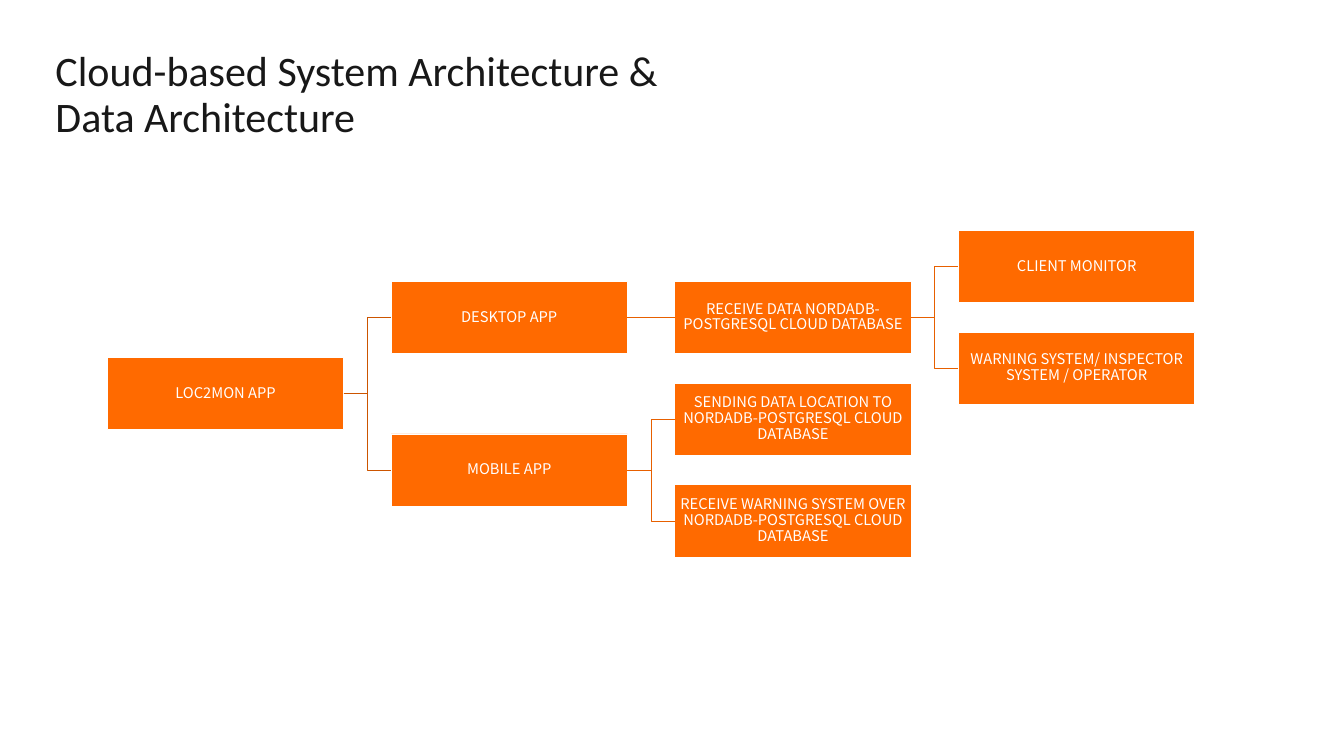
from lxml.etree import SubElement
from pptx import Presentation
from pptx.dml.color import RGBColor
from pptx.enum.shapes import MSO_CONNECTOR, MSO_SHAPE
from pptx.enum.text import MSO_ANCHOR, MSO_AUTO_SIZE, PP_ALIGN
from pptx.oxml.ns import qn
from pptx.util import Inches, Pt

TITLE = ["Cloud-based System Architecture &", "Data Architecture"]

NODES = {
    "app": (0, 2.5, "LOC2MON APP"),
    "desktop": (1, 1, "DESKTOP APP"),
    "mobile": (1, 4, "MOBILE APP"),
    "receive": (2, 1, "RECEIVE DATA NORDADB-POSTGRESQL CLOUD DATABASE"),
    "send": (2, 3, "SENDING DATA LOCATION TO NORDADB-POSTGRESQL CLOUD DATABASE"),
    "warn": (2, 5, "RECEIVE WARNING SYSTEM OVER NORDADB-POSTGRESQL CLOUD DATABASE"),
    "client": (3, 0, "CLIENT MONITOR"),
    "operator": (3, 2, "WARNING SYSTEM/ INSPECTOR SYSTEM / OPERATOR"),
}
LINKS = [
    ("app", "desktop", "CC5500"),
    ("app", "mobile", "CC5500"),
    ("desktop", "receive", "E76000"),
    ("mobile", "send", "E76000"),
    ("mobile", "warn", "E76000"),
    ("receive", "client", "E76000"),
    ("receive", "operator", "E76000"),
]

LEFT, TOP = 2.13, 4.57
BOX_W, BOX_H = 4.69, 1.43
GAP, ROW_STEP = 0.94, 1.01
RIGHT_SITE, LEFT_SITE = 3, 1


def color(value):
    return RGBColor.from_string(value)


def write(p, text, font, size, hex_color, align):
    p.alignment = align
    p.line_spacing = 0.9
    r = p.add_run()
    r.text = text
    r.font.name = font
    r.font.size = Pt(size)
    r.font.color.rgb = color(hex_color)


def add_title(s):
    title = s.shapes.title
    title.left, title.top = Inches(1), Inches(0.95)
    title.width, title.height = Inches(17.72), Inches(0.77)
    tf = title.text_frame
    tf.word_wrap = True
    tf.auto_size = MSO_AUTO_SIZE.NONE
    tf.vertical_anchor = MSO_ANCHOR.TOP
    for i, line in enumerate(TITLE):
        p = tf.add_paragraph() if i else tf.paragraphs[0]
        write(p, line, "Calibri", 60, "181818", PP_ALIGN.LEFT)


def add_node(s, column, row, text):
    sp = s.shapes.add_shape(
        MSO_SHAPE.RECTANGLE,
        Inches(LEFT + column * (BOX_W + GAP)), Inches(TOP + row * ROW_STEP),
        Inches(BOX_W), Inches(BOX_H))
    sp.shadow.inherit = False
    sp.fill.solid()
    sp.fill.fore_color.rgb = color("FF6A00")
    sp.line.color.rgb = color("FFFFFF")
    sp.line.width = Pt(1)
    tf = sp.text_frame
    tf.word_wrap = True
    tf.vertical_anchor = MSO_ANCHOR.MIDDLE
    tf.margin_left = tf.margin_right = Inches(0.01)
    tf.margin_top = tf.margin_bottom = Inches(0.01)
    write(tf.paragraphs[0], text, "Noto Sans CJK SC", 21, "FFFFFF", PP_ALIGN.CENTER)
    return sp


def add_link(s, parent, child, hex_color):
    kind = MSO_CONNECTOR.STRAIGHT if parent.top == child.top else MSO_CONNECTOR.ELBOW
    link = s.shapes.add_connector(kind, 0, 0, 0, 0)
    link.begin_connect(parent, RIGHT_SITE)
    link.end_connect(child, LEFT_SITE)
    link.line.color.rgb = color(hex_color)
    link.line.width = Pt(1)
    SubElement(link._element.spPr, qn("a:effectLst"))


def main():
    prs = Presentation()
    prs.slide_width, prs.slide_height = Inches(26.67), Inches(15)
    s = prs.slides.add_slide(prs.slide_layouts[5])
    add_title(s)
    boxes = {key: add_node(s, *node) for key, node in NODES.items()}
    for parent, child, hex_color in LINKS:
        add_link(s, boxes[parent], boxes[child], hex_color)
    prs.save("out.pptx")


if __name__ == "__main__":
    main()
